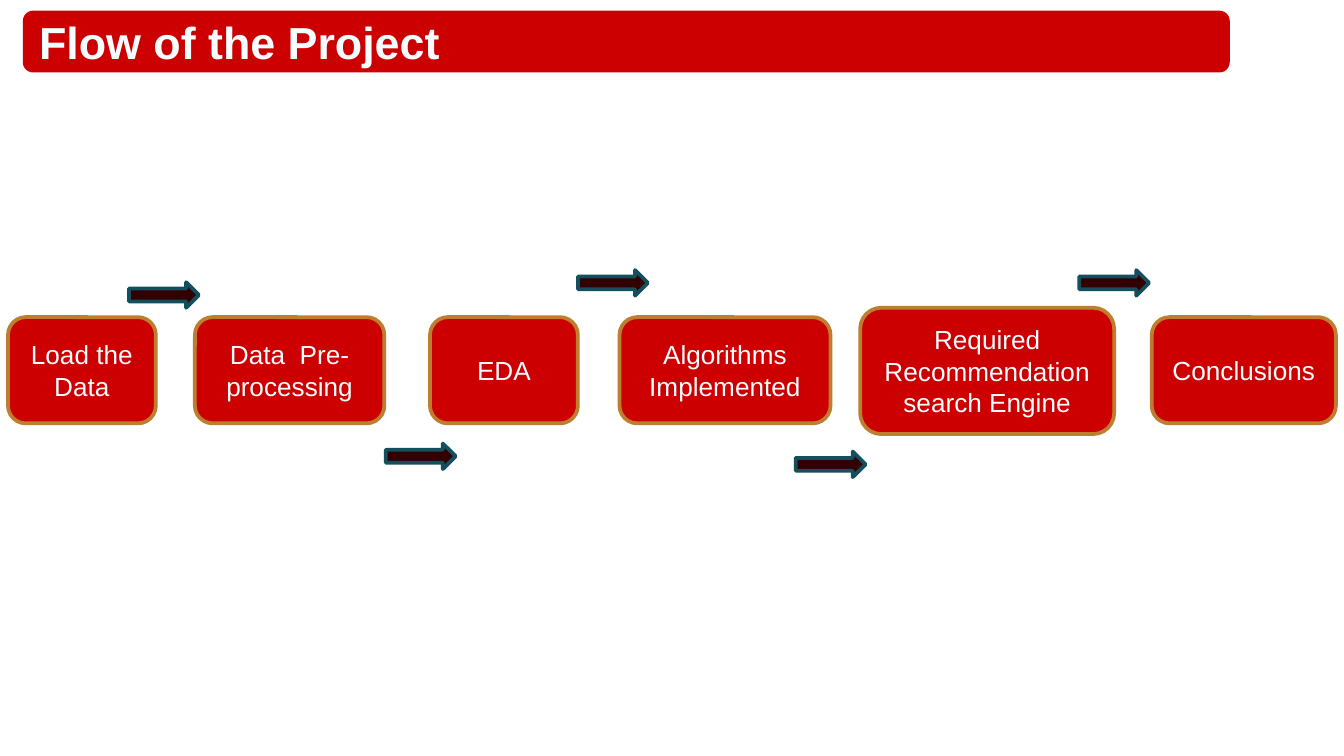
"""Build the project flow slide."""
from dataclasses import dataclass

from pptx import Presentation
from pptx.dml.color import RGBColor
from pptx.enum.shapes import MSO_SHAPE as Preset
from pptx.enum.text import MSO_ANCHOR as Anchor, PP_ALIGN as Align
from pptx.util import Inches, Pt


@dataclass(frozen=True)
class Theme:
    font: str = "Arial"
    title_size: float = 24
    step_size: float = 14
    outline_width: float = 2
    text: str = "F5FDFF"
    box: str = "CC0000"
    box_outline: str = "BD7F2F"
    arrow: str = "320000"
    arrow_outline: str = "134F5C"


@dataclass(frozen=True)
class Step:
    label: str
    left: float
    width: float
    top: float = 2.36
    height: float = 0.79


@dataclass(frozen=True)
class Arrow:
    left: float
    top: float
    width: float = 0.52
    height: float = 0.19


THEME = Theme()
SLIDE_WIDTH = 10
SLIDE_HEIGHT = SLIDE_WIDTH * 9 / 16
TITLE = Step("Flow of the Project", 0.17, 8.98, 0.08, 0.46)
STEPS = (
    Step("Load the Data", 0.06, 1.1),
    Step("Data  Pre-processing", 1.45, 1.41),
    Step("EDA", 3.2, 1.1),
    Step("Algorithms Implemented", 4.61, 1.57),
    Step("Required Recommendation search Engine", 6.4, 1.89, 2.29, 0.94),
    Step("Conclusions", 8.57, 1.37),
)
ARROWS = (
    Arrow(0.96, 2.1),
    Arrow(2.87, 3.3),
    Arrow(8.03, 2.01),
    Arrow(5.92, 3.36),
    Arrow(4.3, 2.01),
)


def add_preset(slide, preset: Preset, item: Step | Arrow, fill: str, outline: str | None = None):
    """Add a filled shape with an optional outline."""
    bounds = (item.left, item.top, item.width, item.height)
    shape = slide.shapes.add_shape(preset, *map(Inches, bounds))
    shape.shadow.inherit = False
    shape.fill.solid()
    shape.fill.fore_color.rgb = RGBColor.from_string(fill)
    if outline:
        shape.line.color.rgb = RGBColor.from_string(outline)
        shape.line.width = Pt(THEME.outline_width)
    else:
        shape.line.fill.background()
    return shape


def write_label(shape, label: str, align: Align, size: float, bold: bool = False) -> None:
    """Write one formatted paragraph in the middle of a shape."""
    frame = shape.text_frame
    frame.word_wrap = True
    frame.vertical_anchor = Anchor.MIDDLE
    paragraph = frame.paragraphs[0]
    paragraph.alignment = align
    run = paragraph.add_run()
    run.text = label
    font_format = {"name": THEME.font, "size": Pt(size), "bold": bold}
    for attribute, value in font_format.items():
        setattr(run.font, attribute, value)
    run.font.color.rgb = RGBColor.from_string(THEME.text)


def main() -> None:
    """Draw the title, steps and arrows, then save."""
    presentation = Presentation()
    presentation.slide_width = Inches(SLIDE_WIDTH)
    presentation.slide_height = Inches(SLIDE_HEIGHT)
    slide = presentation.slides.add_slide(presentation.slide_layouts[6])

    banner = add_preset(slide, Preset.ROUNDED_RECTANGLE, TITLE, THEME.box)
    write_label(banner, TITLE.label, Align.LEFT, THEME.title_size, bold=True)
    for step in STEPS:
        box = add_preset(slide, Preset.ROUNDED_RECTANGLE, step, THEME.box, THEME.box_outline)
        write_label(box, step.label, Align.CENTER, THEME.step_size)
    for arrow in ARROWS:
        add_preset(slide, Preset.RIGHT_ARROW, arrow, THEME.arrow, THEME.arrow_outline)

    presentation.save("out.pptx")


if __name__ == "__main__":
    main()
